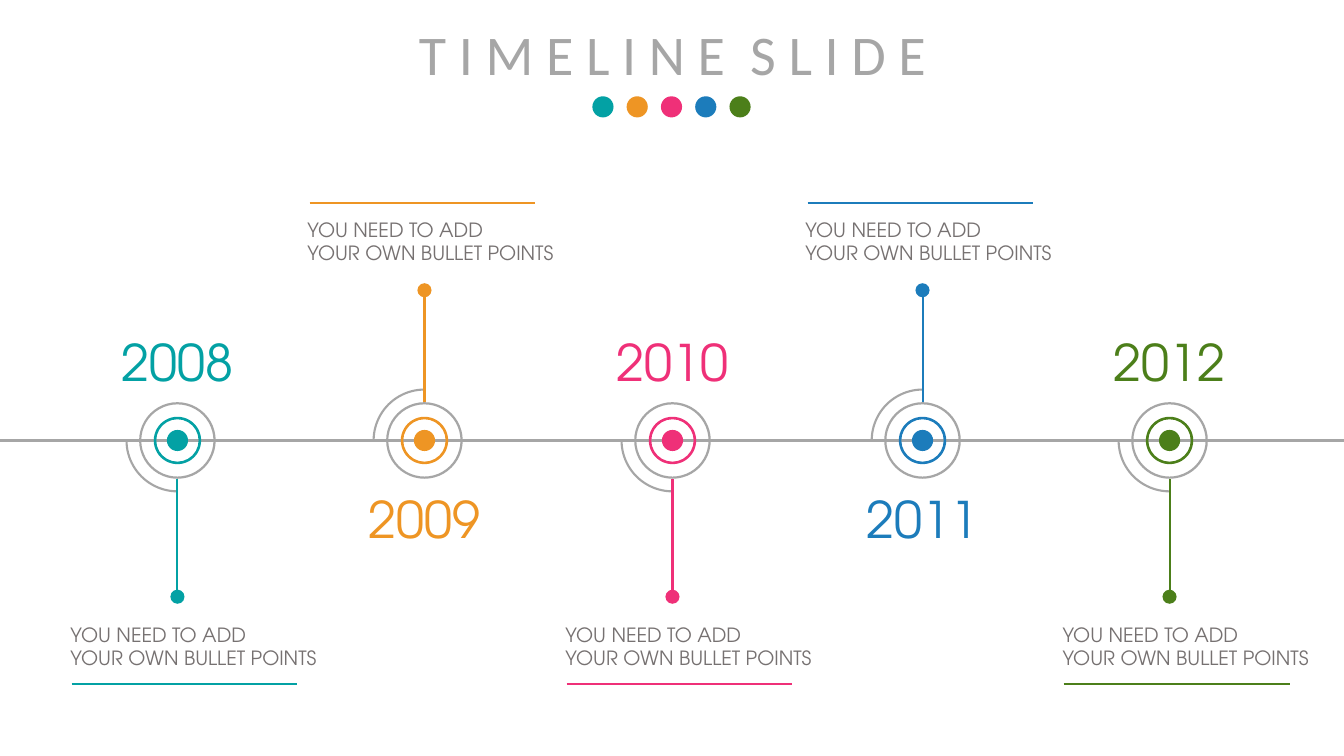
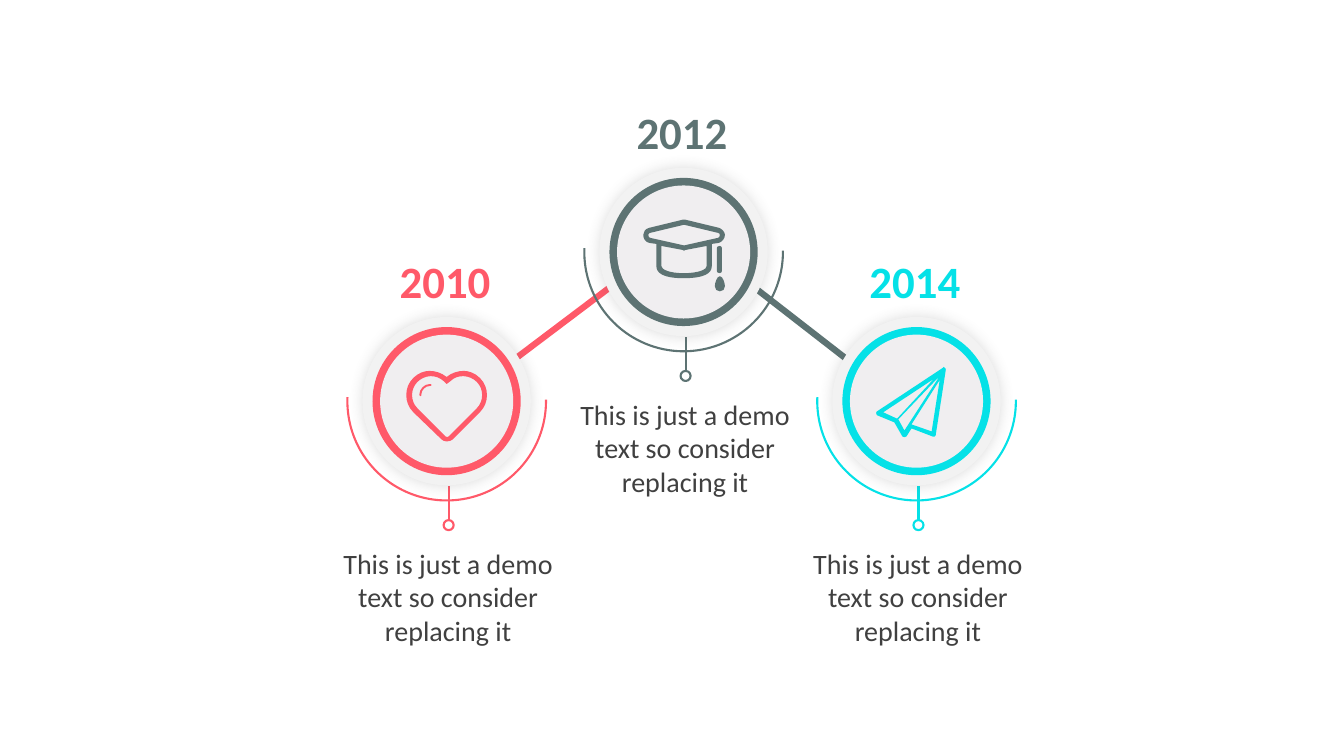
from dataclasses import dataclass

from lxml import etree
from pptx import Presentation
from pptx.dml.color import RGBColor
from pptx.enum.shapes import MSO_CONNECTOR, MSO_SHAPE as SHAPE
from pptx.enum.text import MSO_ANCHOR as ANCHOR, MSO_AUTO_SIZE as FIT, PP_ALIGN as ALIGN
from pptx.oxml.ns import qn
from pptx.util import Inches, Pt


@dataclass(frozen=True)
class Theme:
    grey: str = "A6A6A6"
    caption: str = "767171"
    body: str = "404040"
    disc: str = "F2F2F2"
    face: str = "F0EEF0"
    shadow: str = "595959"
    teal: str = "03A1A4"
    orange: str = "EE9524"
    pink: str = "EF3078"
    blue: str = "1C7CBB"
    green: str = "4C7F1A"
    coral: str = "FF5969"
    slate: str = "5D7373"
    cyan: str = "05E1E7"
    sans: str = "Calibri"
    geometric: str = "TeX Gyre Adventor"
    title_size: int = 40
    year_size: int = 36
    bold_year_size: int = 32
    body_size: int = 20
    caption_size: int = 14
    thin: float = 1.5
    thick: float = 4.5


T = Theme()

# Content: timeline (year, colour, centre x)
TITLE = "T I M E L I N E  S L I D E"
CAPTION = ["YOU NEED TO ADD", "YOUR OWN BULLET POINTS"]
MILESTONES = [("2008", T.teal, 1.76), ("2009", T.orange, 4.21), ("2010", T.pink, 6.67),
              ("2011", T.blue, 9.15), ("2012", T.green, 11.6)]
AXIS_Y = 4.37
AXIS_SPANS = [(0, 1.68), (1.81, 4.28), (4.28, 6.74), (6.75, 9.22), (9.2, 11.66),
              (11.66, 13.33)]

# Content: three stations
DEMO = ["This is just a demo text so consider replacing it"]

# Icon parts are outlines in hundredths of an inch: M move, L line, C curve
HEART = [
    "M 70 37 L 42 65 C 41 66 40 66 39 65 L 11 37 C 4 30 4 18 11 11 C 18 4 29 3 37 10 "
    "L 40 13 L 44 10 C 51 3 63 4 70 11 C 77 18 77 30 70 37 "
    "M 73 7 C 68 2 62 0 57 0 C 51 0 45 2 40 6 C 35 2 29 0 23 0 C 18 0 12 2 7 7 "
    "C 2 12 0 18 0 24 C 0 30 2 36 7 41 L 35 68 C 36 69 38 70 40 70 "
    "C 43 70 45 69 46 68 L 73 41 C 78 36 80 30 80 24 C 80 18 78 12 73 7",
    "M 23 13 C 18 13 13 18 13 23 C 13 24 13 25 14 25 C 15 25 15 24 15 23 "
    "C 15 19 19 15 23 15 C 24 15 25 15 25 14 C 25 13 24 13 23 13",
]
CAP = [
    "M 40.5 25.5 L 7 18 C 6 18 5 17 5 15 C 5 14 6 13 7 13 L 40.5 5 L 74 13 "
    "C 75 13 76 14 76 15 C 76 17 75 18 74 18 L 40.5 25.5 "
    "M 63 46 C 63 49 56 53 40 53 C 25 53 18 49 18 46 L 18 26 L 39 30 "
    "C 40 31 41 31 42 30 L 63 26 L 63 46 "
    "M 81 15 C 81 12 78 9 75 8 L 42 0 L 39 0 L 6 8 C 2 9 0 12 0 15 C 0 19 2 22 6 23 "
    "L 13 24 L 13 46 C 13 53 20 58 40 58 C 61 58 68 53 68 46 L 68 24 L 75 23 "
    "C 78 22 81 19 81 15",
    "M 73 28 L 73 51 C 73 52 74 53 76 53 C 77 53 78 52 78 51 L 78 28 "
    "C 78 27 77 26 76 26 C 74 26 73 27 73 28",
    "M 76 56 C 73 56 71 63 71 66 C 71 69 73 71 76 71 C 79 71 81 69 81 66 "
    "C 81 63 79 56 76 56",
]
PLANE = [
    "M 55 64 L 35 57 L 63 13 L 55 64 M 22 52 L 63 9 L 28 63 L 22 52 "
    "M 7 45 L 57 12 L 21 51 L 20 51 L 7 45 "
    "M 68 1 C 68 1 68 0 67 0 L 66 1 L 1 44 C 0 44 0 45 0 46 C 0 47 1 48 1 48 "
    "L 18 55 L 26 69 C 27 70 29 70 30 69 L 35 61 L 56 69 C 57 70 59 69 59 68 "
    "L 69 3 C 69 2 69 1 68 1",
]
# year, colour, centre x, centre y, icon, icon top relative to the centre
STATIONS = [("2010", T.coral, 4.43, 3.98, HEART, -0.3),
            ("2012", T.slate, 6.78, 2.5, CAP, -0.32),
            ("2014", T.cyan, 9.09, 3.98, PLANE, -0.34)]
LINKS = [(8.42, 3.58, 7.48, 2.85, T.slate), (5.07, 3.59, 6.05, 2.85, T.coral)]


# Drawing helpers
def rgb(value):
    return RGBColor.from_string(value)


def add_line(slide, x1, y1, x2, y2, color, width=T.thin):
    line = slide.shapes.add_connector(MSO_CONNECTOR.STRAIGHT, *map(Inches, (x1, y1, x2, y2)))
    line.line.color.rgb = rgb(color)
    line.line.width = Pt(width)
    etree.SubElement(line._element.spPr, qn("a:effectLst"))


def paint(sp, fill=None, outline=None):
    sp.shadow.inherit = False
    if fill:
        sp.fill.solid()
        sp.fill.fore_color.rgb = rgb(fill)
    else:
        sp.fill.background()
    if outline:
        sp.line.color.rgb = rgb(outline)
        sp.line.width = Pt(T.thin)
    else:
        sp.line.fill.background()


def add_round(slide, cx, cy, size, fill=None, outline=None, kind=SHAPE.OVAL, adjust=()):
    """Add a round shape about its centre."""
    sp = slide.shapes.add_shape(kind, Inches(cx - size / 2), Inches(cy - size / 2),
                                Inches(size), Inches(size))
    for i, value in enumerate(adjust):
        sp.adjustments[i] = value
    paint(sp, fill, outline)
    return sp


def add_arc(slide, cx, cy, size, color, start, end, turn=0):
    # Arc angles are held in 60000ths of a degree, adjustments in 100000ths
    sp = add_round(slide, cx, cy, size, outline=color, kind=SHAPE.ARC,
                   adjust=(start * 0.6, end * 0.6))
    sp.rotation = turn


def add_soft_shadow(sp):
    effects = sp._element.spPr.find(qn("a:effectLst"))
    glow = etree.SubElement(effects, qn("a:outerShdw"), blurRad=str(Pt(10)), dist="0",
                            dir="0", algn="ctr", rotWithShape="0")
    color = etree.SubElement(glow, qn("a:srgbClr"), val=T.shadow)
    etree.SubElement(color, qn("a:alpha"), val="20000")


def write(tf, lines, size, color, font, align=ALIGN.CENTER, bold=False):
    tf.word_wrap = True
    tf.auto_size = FIT.NONE
    tf.vertical_anchor = ANCHOR.TOP
    tf.text = "\n".join(lines)
    for p in tf.paragraphs:
        p.alignment = align
        for r in p.runs:
            r.font.size, r.font.name, r.font.bold = Pt(size), font, bold
            r.font.color.rgb = rgb(color)


def add_text(slide, x, y, w, h, lines, *style, **options):
    box = slide.shapes.add_textbox(*map(Inches, (x, y, w, h)))
    write(box.text_frame, lines, *style, **options)


def trace(outline, x, y):
    """Turn an outline into (command, points) steps placed on the slide."""
    steps, tokens = [], outline.split()
    while tokens:
        command = tokens.pop(0)
        count = 6 if command == "C" else 2
        values = [float(v) / 100 for v in tokens[:count]]
        del tokens[:count]
        steps.append((command, [(Inches(x + px), Inches(y + py))
                                for px, py in zip(values[::2], values[1::2])]))
    return steps


def bend(sp, steps):
    """Turn the segments that stand for curves into real Bézier curves."""
    segments = [e for e in sp._element.iter(qn("a:moveTo"), qn("a:lnTo"))]
    for segment, (command, points) in zip(segments, steps):
        if command == "C":
            curve = etree.Element(qn("a:cubicBezTo"))
            for px, py in points:
                etree.SubElement(curve, qn("a:pt"), x=str(px - sp.left), y=str(py - sp.top))
            segment.getparent().replace(segment, curve)


def add_icon(slide, x, y, parts, color):
    for part in parts:
        steps = trace(part, x, y)
        builder = slide.shapes.build_freeform(*steps[0][1][0])
        for command, points in steps[1:]:
            if command == "M":
                builder.move_to(*points[0])
            else:
                builder.add_line_segments(points[-1:], close=False)
        sp = builder.convert_to_shape()
        bend(sp, steps)
        paint(sp, color)


# Slide 1: timeline
def add_milestone(slide, year, color, cx, up):
    side = -1 if up else 1
    add_arc(slide, cx, AXIS_Y, 1.01, T.grey, 90.34, 180.89, 90 if up else 0)
    add_round(slide, cx, AXIS_Y, 0.21, color)
    add_round(slide, cx, AXIS_Y, 0.47, color, kind=SHAPE.DONUT, adjust=(0.053,))
    add_round(slide, cx, AXIS_Y, 0.76, T.grey, kind=SHAPE.DONUT, adjust=(0.029,))
    add_line(slide, cx, AXIS_Y + side * 1.51, cx, AXIS_Y + side * 0.38, color)
    add_round(slide, cx, AXIS_Y + (-1.49 if up else 1.55), 0.14, color)
    add_text(slide, cx - 0.83, 4.79 if up else 3.24, 1.66, 0.71, [year],
             T.year_size, color, T.geometric)
    left = cx - (1.26 if up else 1.16)
    add_text(slide, left, 2.11 if up else 6.13, 3.5, 0.57, CAPTION,
             T.caption_size, T.caption, T.geometric, align=ALIGN.LEFT)
    rule_x, rule_y = cx - (1.14 if up else 1.05), 2.01 if up else 6.79
    add_line(slide, rule_x, rule_y, rule_x + 2.24, rule_y, color)


def build_timeline(prs):
    slide = prs.slides.add_slide(prs.slide_layouts.get_by_name("Title Only"))
    title = slide.shapes.title
    title.left, title.top, title.width, title.height = map(Inches, (2.69, 0.14, 7.96, 0.77))
    write(title.text_frame, [TITLE], T.title_size, T.grey, T.sans)
    for start, end in AXIS_SPANS:
        add_line(slide, start, AXIS_Y, end, AXIS_Y, T.grey)
    for i, (year, color, cx) in enumerate(MILESTONES):
        add_round(slide, 5.98 + 0.34 * i, 1.06, 0.21, color)
        add_milestone(slide, year, color, cx, up=i % 2 == 1)


# Slide 2: stations
def add_station(slide, year, color, cx, cy, icon, icon_dy):
    add_line(slide, cx + 0.02, cy + 1.18, cx + 0.02, cy + 0.84, color)
    add_soft_shadow(add_round(slide, cx, cy, 1.67, T.disc))
    add_round(slide, cx, cy, 1.47, color)
    add_round(slide, cx, cy, 1.32, T.face)
    add_arc(slide, cx, cy, 1.97, color, 224.19, 47.28, 135)
    add_round(slide, cx + 0.02, cy + 1.23, 0.1, outline=color)
    add_text(slide, cx - 0.85, cy - 1.51, 1.67, 0.64, [year],
             T.bold_year_size, color, T.sans, bold=True)
    add_text(slide, cx - 1.25, cy + 1.39, 2.53, 1.11, DEMO, T.body_size, T.body, T.sans)
    add_icon(slide, cx - 0.4, cy + icon_dy, icon, color)


def build_stations(prs):
    slide = prs.slides.add_slide(prs.slide_layouts.get_by_name("Blank"))
    for link in LINKS:
        add_line(slide, *link, width=T.thick)
    for station in STATIONS:
        add_station(slide, *station)


def main():
    prs = Presentation()
    prs.slide_width, prs.slide_height = Inches(13.33), Inches(7.5)
    build_timeline(prs)
    build_stations(prs)
    prs.save("out.pptx")


if __name__ == "__main__":
    main()
